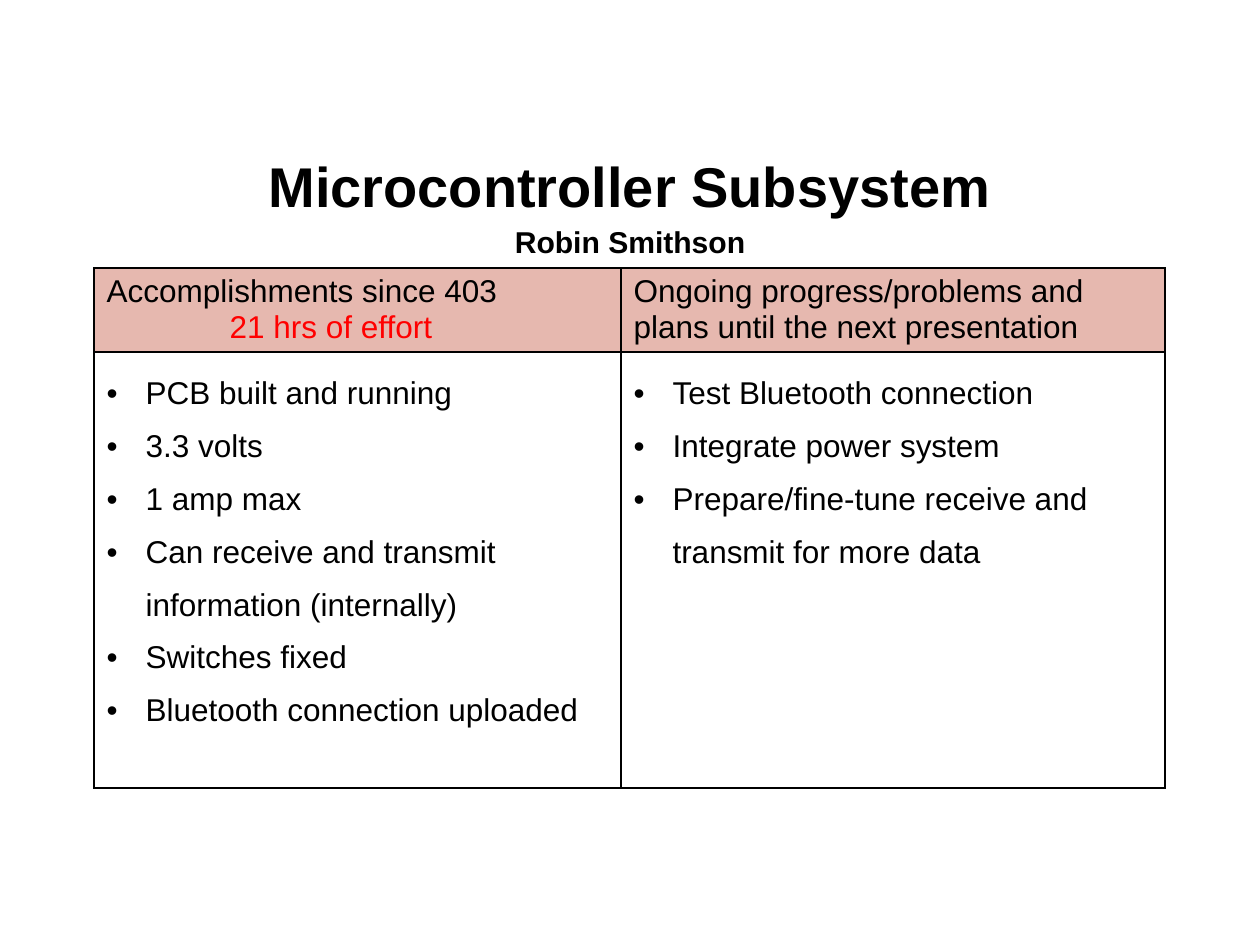
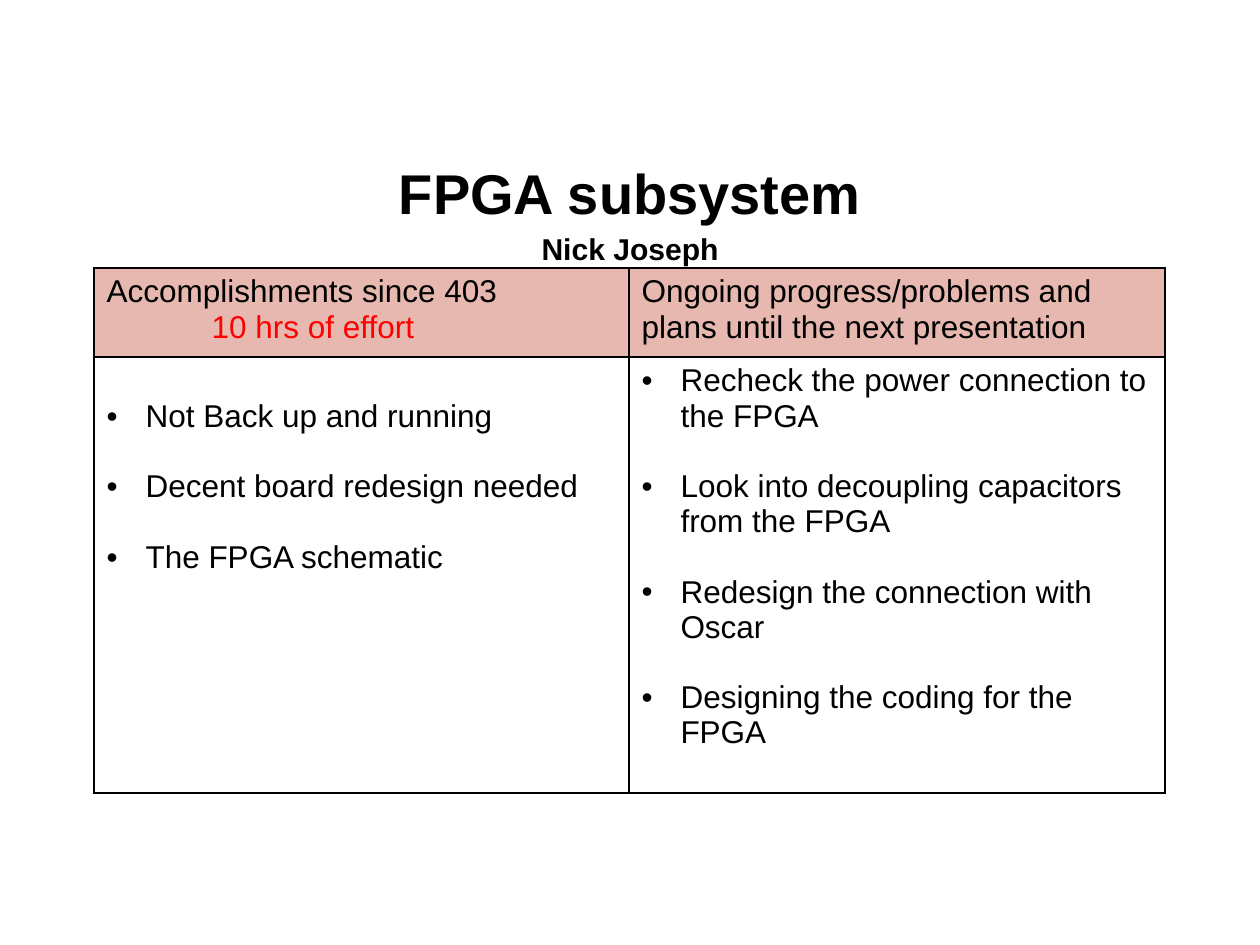
"""Build two subsystem status slides, each with a title and a progress table."""
from lxml.etree import SubElement
from pptx import Presentation
from pptx.dml.color import RGBColor
from pptx.enum.text import MSO_ANCHOR, MSO_AUTO_SIZE, PP_ALIGN
from pptx.oxml.ns import qn
from pptx.util import Pt

DONE_HEAD = "Accomplishments since 403"
PLAN_HEAD = "Ongoing progress/problems and plans until the next presentation"

SLIDES = [
    {
        "title": "Microcontroller Subsystem",
        "owner": "Robin Smithson",
        "title_height": 111,
        "effort": ("21 hrs of effort", 123),
        "columns": (527, 544),
        "rows": (84, 436),
        "done": ["PCB built and running", "3.3 volts", "1 amp max",
                 "Can receive and transmit information (internally)",
                 "Switches fixed", "Bluetooth connection uploaded"],
        "plans": ["Test Bluetooth connection", "Integrate power system",
                  "Prepare/fine-tune receive and transmit for more data"],
        "done_spacing": (1.5, 0),
        "plan_spacing": (1.5, 0),
    },
    {
        "title": "FPGA subsystem",
        "owner": "Nick Joseph",
        "title_height": 125,
        "effort": ("10 hrs of effort", 105),
        "columns": (535, 536),
        "rows": (89, 436),
        "done": ["Not Back up and running", "Decent board redesign needed",
                 "The FPGA schematic"],
        "plans": ["Recheck the power connection to the FPGA",
                  "Look into decoupling capacitors from the FPGA",
                  "Redesign the connection with Oscar",
                  "Designing the coding for the FPGA"],
        "done_spacing": (2.0, 0),
        "plan_spacing": (1.0, 20),
    },
]

BLACK = RGBColor(0x00, 0x00, 0x00)
RED = RGBColor(0xFF, 0x00, 0x00)
PINK = RGBColor(0xE6, 0xB8, 0xAF)
FONT = "Arial"
TEXT_SIZE = 18
BULLET_INDENT = 39
TITLE_LEFT, TITLE_TOP, TITLE_WIDTH = 63, 145, 1134
TABLE_LEFT, TABLE_TOP = 94, 268


def px(n):
    return round(n * 914400 / 126)


def add_paragraph(tf, first):
    return tf.paragraphs[0] if first else tf.add_paragraph()


def add_run(p, text, size=TEXT_SIZE, color=BLACK, bold=False):
    r = p.add_run()
    r.text = text
    r.font.name = FONT
    r.font.size = Pt(size)
    r.font.bold = bold
    r.font.color.rgb = color


def add_title(s, data):
    sp = s.shapes.title
    sp.left, sp.top = px(TITLE_LEFT), px(TITLE_TOP)
    sp.width, sp.height = px(TITLE_WIDTH), px(data["title_height"])
    tf = sp.text_frame
    tf.auto_size = MSO_AUTO_SIZE.NONE
    tf.vertical_anchor = MSO_ANCHOR.MIDDLE
    for i, (text, size) in enumerate([(data["title"], 32), (data["owner"], 17.2)]):
        p = add_paragraph(tf, i == 0)
        p.alignment = PP_ALIGN.CENTER
        p.line_spacing = 1.15
        add_run(p, text, size, bold=True)


def add_bullets(tf, items, spacing):
    line_spacing, gap = spacing
    for i, item in enumerate(items):
        p = add_paragraph(tf, i == 0)
        p.line_spacing = line_spacing
        if i and gap:
            p.space_before = Pt(gap)
        pPr = p._p.get_or_add_pPr()
        pPr.set("marL", str(px(BULLET_INDENT)))
        pPr.set("indent", str(-px(BULLET_INDENT)))
        SubElement(pPr, qn("a:buFont"), typeface=FONT)
        SubElement(pPr, qn("a:buChar"), char="•")
        add_run(p, item)


def add_borders(cell):
    tcPr = cell._tc.get_or_add_tcPr()
    for side in ("lnL", "lnR", "lnT", "lnB"):
        ln = SubElement(tcPr, qn("a:" + side), w=str(Pt(1)))
        fill = SubElement(ln, qn("a:solidFill"))
        SubElement(fill, qn("a:srgbClr"), val=str(BLACK))


def add_progress_table(s, data):
    columns, rows = data["columns"], data["rows"]
    table = s.shapes.add_table(len(rows), len(columns), px(TABLE_LEFT), px(TABLE_TOP),
                               px(sum(columns)), px(sum(rows))).table
    table.first_row = table.horz_banding = False
    for column, width in zip(table.columns, columns):
        column.width = px(width)
    for row, height in zip(table.rows, rows):
        row.height = px(height)
    for cell in table.iter_cells():
        add_borders(cell)
        cell.fill.background()
    for cell, head in zip(table.rows[0].cells, (DONE_HEAD, PLAN_HEAD)):
        cell.fill.solid()
        cell.fill.fore_color.rgb = PINK
        add_run(cell.text_frame.paragraphs[0], head)
    effort, indent = data["effort"]
    p = table.cell(0, 0).text_frame.add_paragraph()
    p._p.get_or_add_pPr().set("marL", str(px(indent)))
    add_run(p, effort, color=RED)
    add_bullets(table.cell(1, 0).text_frame, data["done"], data["done_spacing"])
    add_bullets(table.cell(1, 1).text_frame, data["plans"], data["plan_spacing"])


def main():
    prs = Presentation()
    prs.slide_width, prs.slide_height = px(1260), px(945)
    for data in SLIDES:
        s = prs.slides.add_slide(prs.slide_layouts[5])
        add_title(s, data)
        add_progress_table(s, data)
    prs.save("out.pptx")


if __name__ == "__main__":
    main()
